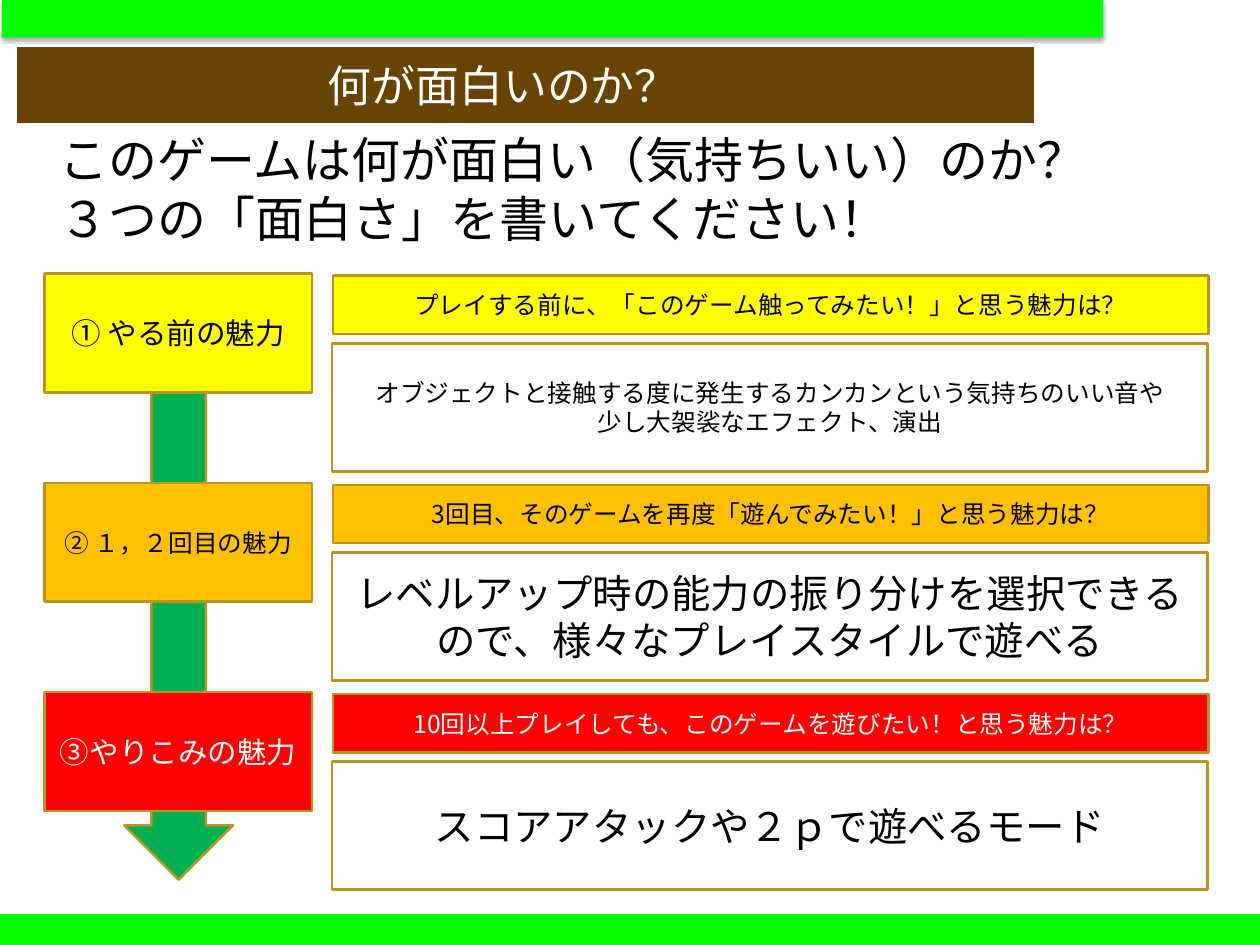
"""Build a slide on the three attractions of a game."""
from lxml.etree import SubElement
from pptx import Presentation
from pptx.dml.color import RGBColor
from pptx.enum.shapes import MSO_SHAPE
from pptx.enum.text import MSO_ANCHOR, MSO_AUTO_SIZE, PP_ALIGN
from pptx.oxml.ns import qn
from pptx.util import Pt

CJK = "Noto Sans CJK JP"
GOLD, GREEN, LIME, BROWN = "BB9423", "00B050", "00FF00", "694301"
BLACK, WHITE = "000000", "FFFFFF"


def paint(sp, fill, line=None, width=2):
    sp.fill.solid()
    sp.fill.fore_color.rgb = RGBColor.from_string(fill)
    if line:
        sp.line.color.rgb = RGBColor.from_string(line)
        sp.line.width = Pt(width)
        sp.shadow.inherit = False
    else:
        sp.line.fill.background()


def write(sp, text, size, color=BLACK, font=CJK, align=PP_ALIGN.CENTER, anchor=MSO_ANCHOR.MIDDLE):
    tf = sp.text_frame
    tf.text = text
    tf.word_wrap = True
    tf.auto_size = MSO_AUTO_SIZE.NONE
    tf.vertical_anchor = anchor
    for p in tf.paragraphs:
        p.alignment = align
        for r in p.runs:
            r.font.size = Pt(size)
            r.font.name = font
            r.font.color.rgb = RGBColor.from_string(color)
            SubElement(r.font._element, qn("a:ea"), typeface=CJK)


prs = Presentation()
prs.slide_width, prs.slide_height = Pt(1024), Pt(768)
s = prs.slides.add_slide(prs.slide_layouts[5])

title = s.shapes.title
title.left, title.top, title.width, title.height = Pt(13), Pt(37.5), Pt(828), Pt(62.5)
SubElement(title._element.spPr, qn("a:prstGeom"), prst="bevel")
paint(title, BROWN, WHITE, 0.75)
write(title, "何が面白いのか？", 35.6, WHITE)
title.text_frame.margin_right = Pt(43)

for left, top, width, height in [(1.5, 0, 895, 30.5), (0, 743, 1024, 26.5)]:
    bar = s.shapes.add_shape(MSO_SHAPE.RECTANGLE, Pt(left), Pt(top), Pt(width), Pt(height))
    paint(bar, LIME)

arrow = s.shapes.add_shape(MSO_SHAPE.DOWN_ARROW, Pt(101), Pt(239), Pt(88.5), Pt(476))
paint(arrow, GREEN, GOLD)

lead = s.shapes.add_textbox(Pt(41), Pt(101.5), Pt(941), Pt(103.5))
write(lead, "このゲームは何が面白い（気持ちいい）のか？\n３つの「面白さ」を書いてください！",
      39.8, align=PP_ALIGN.LEFT, anchor=MSO_ANCHOR.TOP)

stages = [
    ("FFFF00", BLACK, "① やる前の魅力", 24,
     "プレイする前に、「このゲーム触ってみたい！」と思う魅力は？",
     "オブジェクトと接触する度に発生するカンカンという気持ちのいい音や\n少し大袈裟なエフェクト、演出", 20),
    ("FFC000", BLACK, "② １，２回目の魅力", 20,
     "3回目、そのゲームを再度「遊んでみたい！」と思う魅力は？",
     "レベルアップ時の能力の振り分けを選択できるので、様々なプレイスタイルで遊べる", 32),
    ("FF0000", WHITE, "③やりこみの魅力", 24,
     "10回以上プレイしても、このゲームを遊びたい！と思う魅力は？",
     "スコアアタックや２ｐで遊べるモード", 32),
]
for i, (fill, color, stage, stage_size, question, answer, answer_size) in enumerate(stages):
    top = 222.5 + 170 * i
    boxes = [
        (36, top, 217.5, 96.5, fill, stage, stage_size, color, CJK),
        (270.5, top + 1.5, 711.5, 47.5, fill, question, 20, color, CJK),
        (270, top + 56.5, 711.5, 104, WHITE, answer, answer_size, BLACK, "Calibri"),
    ]
    for left, y, width, height, box_fill, text, size, text_color, font in boxes:
        sp = s.shapes.add_shape(MSO_SHAPE.RECTANGLE, Pt(left), Pt(y), Pt(width), Pt(height))
        paint(sp, box_fill, GOLD)
        write(sp, text, size, text_color, font)

prs.save("out.pptx")
